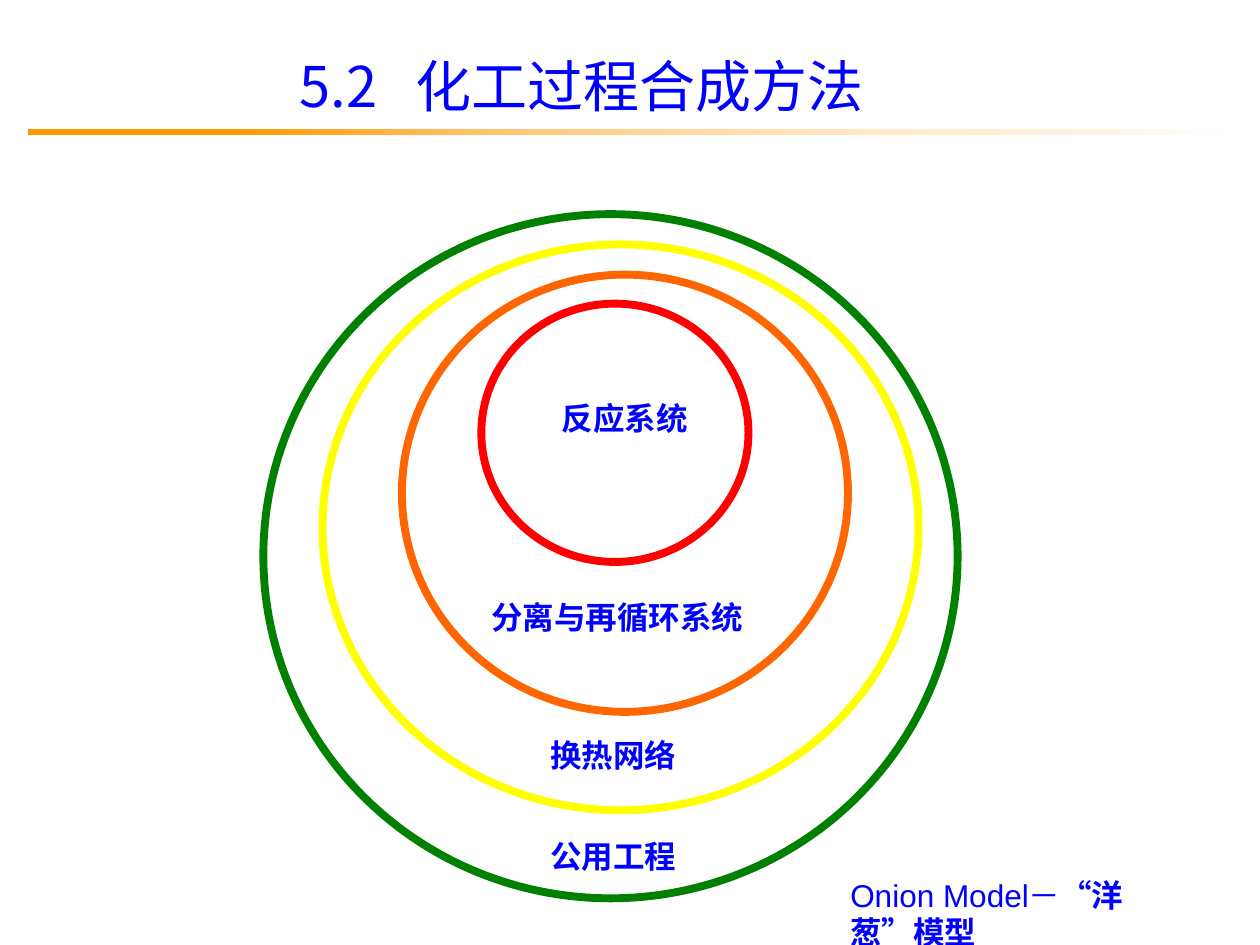
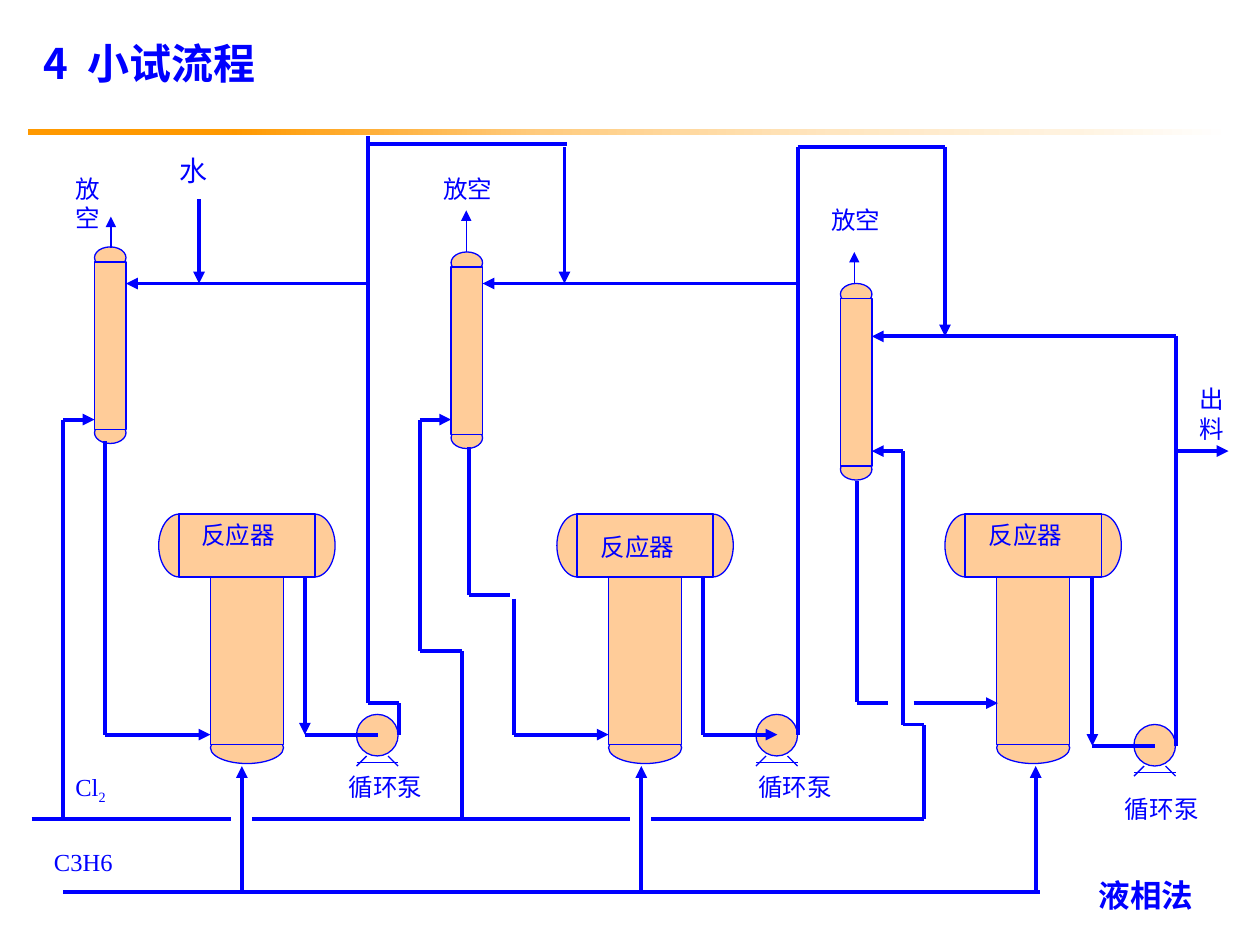
from lxml.etree import SubElement
from pptx import Presentation
from pptx.dml.color import RGBColor as RGB
from pptx.enum.lang import MSO_LANGUAGE_ID as LANG
from pptx.enum.shapes import MSO_CONNECTOR as CONN, MSO_SHAPE as SHAPE
from pptx.oxml.ns import qn
from pptx.util import Inches, Pt

COLORS = {
    "blue": "0000FF", "vessel": "FFCC99", "red": "FF0000",
    "orange": "FF6600", "yellow": "FFFF00", "green": "008000",
}
BAND = [(17, "FF9900"), (43, "FFCC80"), (67, "FFE6C0"), (87, "FFF3E0"), (100, "FFFFFF")]
TITLE_FONT = "Noto Sans CJK SC"


def add_text(s, box, pieces, size, font="Times New Roman", bold=False, wrap=True, tab=None):
    tf = s.shapes.add_textbox(*[Inches(v) for v in box]).text_frame
    tf.word_wrap = wrap
    p = tf.paragraphs[0]
    if tab:
        tabs = SubElement(p._p.get_or_add_pPr(), qn("a:tabLst"))
        SubElement(tabs, qn("a:tab"), pos=str(Inches(tab)), algn="l")
    for piece in pieces:
        r = p.add_run()
        r.text = piece
        r.font.size = Pt(size)
        r.font.name = font
        r.font.bold = bold
        r.font.color.rgb = RGB.from_string(COLORS["blue"])
        r.font.language_id = LANG.SIMPLIFIED_CHINESE
    return tf


def add_path(s, points, arrow=False, width=2.25):
    for start, end in zip(points, points[1:]):
        c = s.shapes.add_connector(CONN.STRAIGHT, *[Inches(v) for v in start + end])
        c.line.color.rgb = RGB.from_string(COLORS["blue"])
        c.line.width = Pt(width)
        spPr = c._element.spPr
        if arrow and end == points[-1]:
            SubElement(spPr.find(qn("a:ln")), qn("a:tailEnd"), type="triangle")
        SubElement(spPr, qn("a:effectLst"))


prs = Presentation()
prs.slide_width = Inches(10)
prs.slide_height = Inches(7.5)

titles = [
    ("5.2\t化工过程合成方法", (2.28, 0.36, 4.87, 0.63), 32, False, 0.92),
    ("4\t小试流程", (0.25, 0.25, 3.83, 0.5), 24, True, 0.35),
]
for title, box, size, bold, tab in titles:
    s = prs.slides.add_slide(prs.slide_layouts[6])
    sp = s.shapes.add_shape(SHAPE.RECTANGLE, Inches(0.22), Inches(1.02), Inches(9.55), Inches(0.05))
    sp.shadow.inherit = False
    sp.line.fill.background()
    sp.fill.gradient()
    sp.fill.gradient_angle = 0
    stops = sp._element.spPr.find(qn("a:gradFill")).find(qn("a:gsLst"))
    for gs in list(stops):
        stops.remove(gs)
    for percent, color in BAND:
        gs = SubElement(stops, qn("a:gs"), pos=str(percent * 1000))
        SubElement(gs, qn("a:srgbClr"), val=color)
    add_text(s, box, [title], size, TITLE_FONT, bold, tab=tab)

onion, process = prs.slides

layers = [
    ("反应系统", "red", (3.82, 2.41, 2.12, 2.05), (4.36, 3.12, 1.22, 0.4)),
    ("分离与再循环系统", "orange", (3.19, 2.18, 3.54, 3.47), (3.8, 4.7, 2.22, 0.4)),
    ("换热网络", "yellow", (2.56, 1.94, 4.73, 4.49), (4.27, 5.79, 1.21, 0.4)),
    ("公用工程", "green", (2.09, 1.7, 5.51, 5.43), (4.27, 6.59, 1.21, 0.4)),
]
for label, color, ring, box in layers:
    sp = onion.shapes.add_shape(SHAPE.OVAL, *[Inches(v) for v in ring])
    sp.shadow.inherit = False
    sp.fill.background()
    sp.line.color.rgb = RGB.from_string(COLORS[color])
    sp.line.width = Pt(4.5)
    add_text(onion, box, [label], 18, "Arial", True, wrap=False)

tf = add_text(onion, (6.65, 6.9, 3.12, 0.4), ["Onion Model－", "“洋葱”模型"], 18, "Arial")
tf.margin_right = Inches(0.72)
tf.paragraphs[0].runs[1].font.bold = True

reactor = [
    (SHAPE.OVAL, 1.07, 0, 0.33, 0.5),
    (SHAPE.OVAL, 0, 0, 0.33, 0.5),
    (SHAPE.RECTANGLE, 0.16, 0, 1.08, 0.5),
    (SHAPE.OVAL, 0.41, 1.73, 0.58, 0.25),
    (SHAPE.RECTANGLE, 0.41, 0.5, 0.58, 1.33),
]
tower = [
    (SHAPE.OVAL, 0, 0, 0.25, 0.17),
    (SHAPE.OVAL, 0, 1.39, 0.25, 0.17),
    (SHAPE.RECTANGLE, 0, 0.12, 0.25, 1.33),
]
pump = [(SHAPE.OVAL, 0, 0, 0.33, 0.33)]
pumps = [(2.83, 5.67), (6, 5.67), (9, 5.75)]
equipment = [
    (reactor, [(1.26, 4.08), (4.42, 4.08), (7.5, 4.08)]),
    (tower, [(0.75, 1.96), (3.58, 2), (6.67, 2.25)]),
    (pump, pumps),
]
for parts, places in equipment:
    for x, y in places:
        for kind, dx, dy, w, h in parts:
            sp = process.shapes.add_shape(kind, Inches(x + dx), Inches(y + dy), Inches(w), Inches(h))
            sp.shadow.inherit = False
            sp.fill.solid()
            sp.fill.fore_color.rgb = RGB.from_string(COLORS["vessel"])
            sp.line.color.rgb = RGB.from_string(COLORS["blue"])
            sp.line.width = Pt(0.75)

for x, y in pumps:
    add_path(process, [(x + 0.08, y + 0.33), (x, y + 0.41)], width=0.75)
    add_path(process, [(x + 0.25, y + 0.33), (x + 0.33, y + 0.41)], width=0.75)
    add_path(process, [(x, y + 0.38), (x + 0.33, y + 0.38)], width=0.75)

for x, y, top in [(0.88, 1.97, 1.72), (3.7, 2, 1.67), (6.78, 2.25, 2)]:
    add_path(process, [(x, y), (x, top)], arrow=True, width=0.75)

for x in (1.92, 5.09, 8.22):
    add_path(process, [(x, 7.08), (x, 6.08)], arrow=True)

pipes = [
    [(0.5, 7.08), (8.25, 7.08)],
    [(0.25, 6.5), (1.83, 6.5)],
    [(2, 6.5), (5, 6.5)],
    [(5.17, 6.5), (7.33, 6.5)],
    [(2.42, 5.83), (3, 5.83)],
    [(3.17, 5.83), (3.17, 5.58), (2.92, 5.58), (2.92, 1.08)],
    [(2.92, 1.14), (4.5, 1.14)],
    [(6.33, 5.83), (6.33, 1.17)],
    [(3.72, 3.55), (3.72, 4.72), (4.05, 4.72)],
    [(6.8, 3.82), (6.8, 5.57)],
    [(6.8, 5.58), (7.05, 5.58)],
    [(8.67, 5.92), (9.17, 5.92)],
]
flows = [
    [(0.5, 6.5), (0.5, 3.33), (0.75, 3.33)],
    [(3.67, 6.5), (3.67, 5.17), (3.33, 5.17), (3.33, 3.33), (3.58, 3.33)],
    [(7.33, 6.5), (7.33, 5.75), (7.17, 5.75), (7.17, 3.58), (6.92, 3.58)],
    [(0.83, 3.5), (0.83, 5.83), (1.67, 5.83)],
    [(4.08, 4.75), (4.08, 5.83), (4.83, 5.83)],
    [(7.25, 5.58), (7.92, 5.58)],
    [(2.42, 4.58), (2.42, 5.83)],
    [(5.58, 4.58), (5.58, 5.83), (6.17, 5.83)],
    [(8.67, 4.58), (8.67, 5.92)],
    [(2.92, 2.25), (1, 2.25)],
    [(6.33, 2.25), (3.83, 2.25)],
    [(9.33, 5.92), (9.33, 2.67), (6.92, 2.67)],
    [(1.58, 1.58), (1.58, 2.25)],
    [(4.48, 1.17), (4.48, 2.25)],
    [(6.33, 1.17), (7.5, 1.17), (7.5, 2.67)],
    [(9.33, 3.58), (9.75, 3.58)],
]
for points in pipes:
    add_path(process, points)
for points in flows:
    add_path(process, points, arrow=True)

labels = [
    ("C3H6", (0.33, 6.67, 0.75, 0.33)),
    ("反应器", (1.5, 4.08, 0.83, 0.33)),
    ("反应器", (4.67, 4.17, 0.83, 0.33)),
    ("反应器", (7.75, 4.08, 1, 0.33)),
    ("循环泵", (2.67, 6.08, 0.92, 0.33)),
    ("循环泵", (5.92, 6.08, 0.92, 0.33)),
    ("循环泵", (8.83, 6.25, 0.92, 0.33)),
    ("出料", (9.42, 3, 0.58, 0.57)),
    ("放空", (0.5, 1.33, 0.58, 0.57)),
    ("放空", (3.42, 1.33, 0.67, 0.33)),
    ("放空", (6.5, 1.58, 0.75, 0.33)),
]
for label, box in labels:
    add_text(process, box, [label], 14)

tf = add_text(process, (0.5, 6.08, 0.75, 0.33), ["Cl", "2"], 14)
tf.paragraphs[0].runs[1].font._element.set("baseline", "-25000")
add_text(process, (1.33, 1.17, 0.5, 0.37), ["水"], 16)
add_text(process, (8.62, 6.9, 0.95, 0.4), ["液相法"], 18, "Arial", True, wrap=False)

prs.save("out.pptx")
